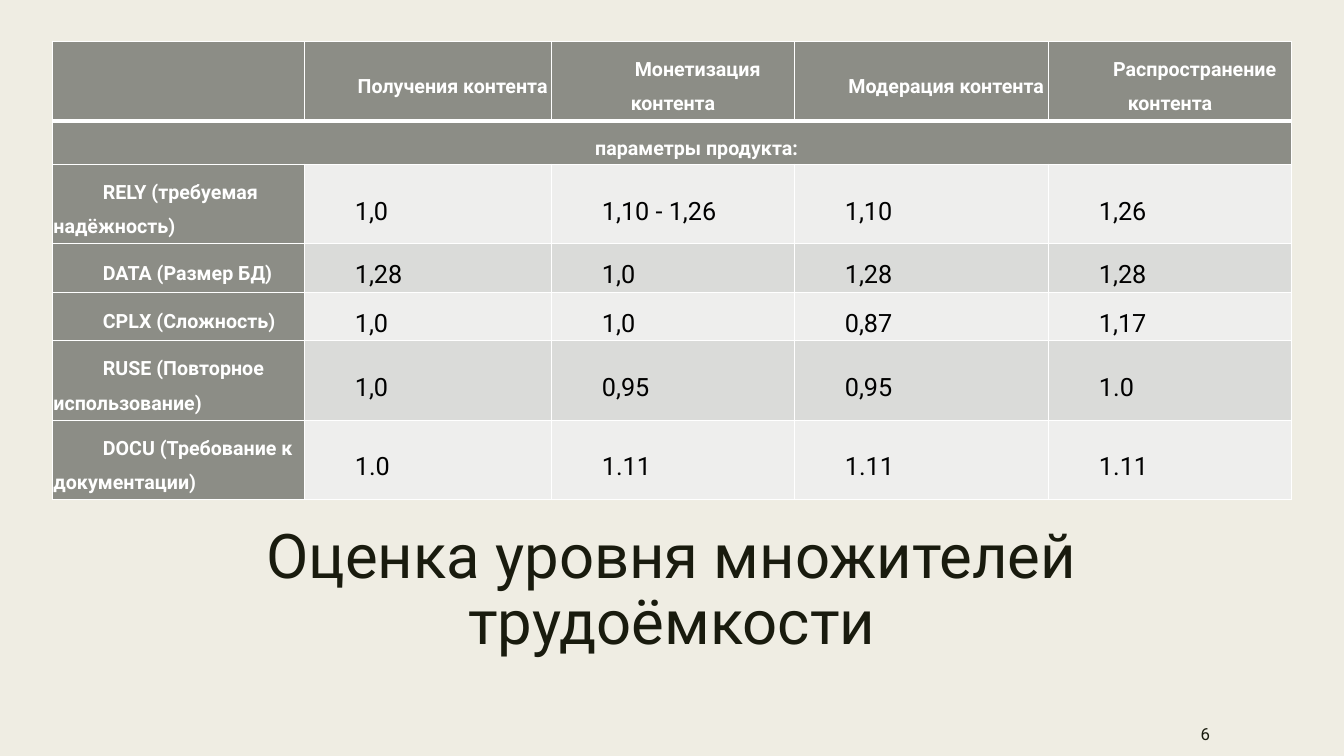
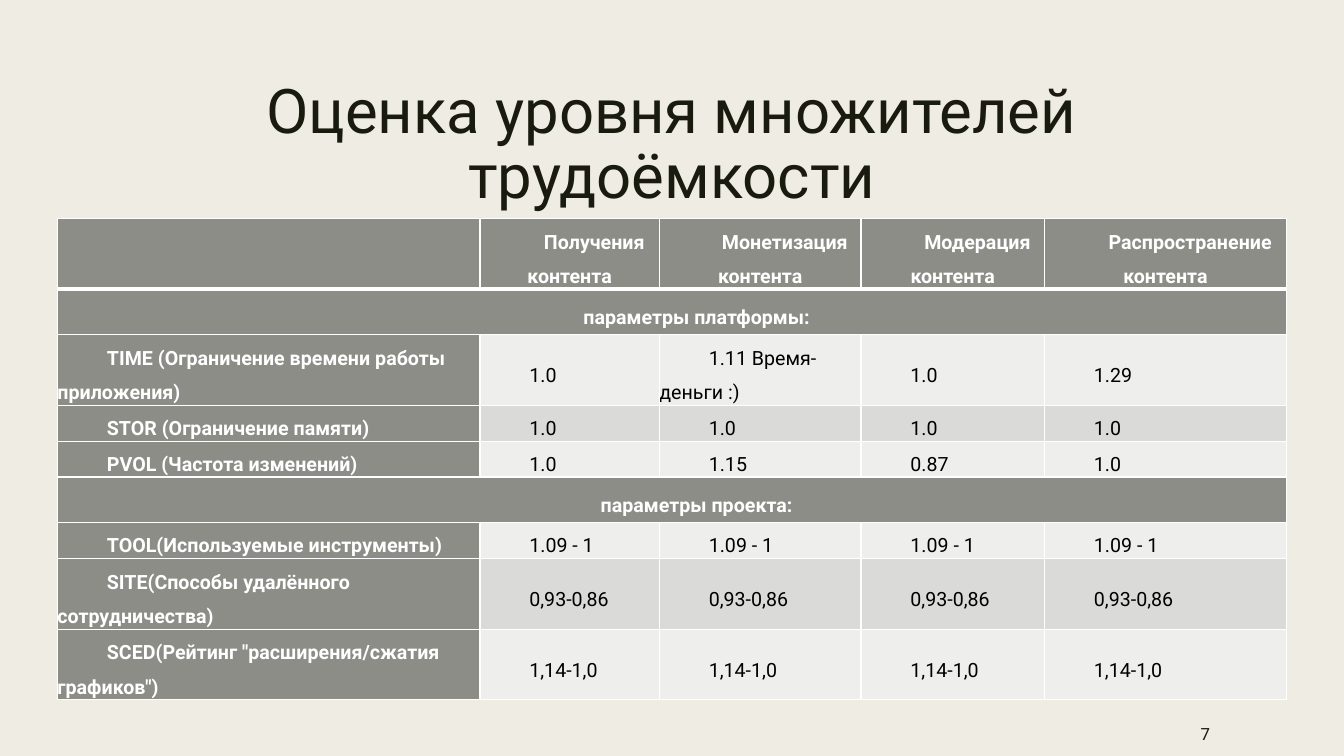
from lxml.etree import SubElement
from pptx import Presentation
from pptx.dml.color import RGBColor
from pptx.enum.shapes import MSO_SHAPE
from pptx.enum.text import MSO_ANCHOR, PP_ALIGN
from pptx.oxml.ns import qn
from pptx.util import Inches, Pt

FONT = "Roboto"
CREAM = RGBColor(0xEF, 0xED, 0xE3)
INK = RGBColor(0x19, 0x1B, 0x0E)
GRAY = RGBColor(0x8C, 0x8D, 0x86)
LIGHT = RGBColor(0xEE, 0xEE, 0xED)
DARK = RGBColor(0xDA, 0xDB, 0xD9)
WHITE = RGBColor(0xFF, 0xFF, 0xFF)
BLACK = RGBColor(0, 0, 0)

TITLE = "Оценка уровня множителей трудоёмкости"
HEAD = ("", "Получения контента", "Монетизация контента",
        "Модерация контента", "Распространение контента")

# A row with a single text is a band across the whole table.
PAGES = [
    dict(
        num="6", title_top=5.17, left=0.52, top=0.41, size=18,
        pad=0.01, band_pad=(0.11, 0.04),
        cols=(2.5, 2.45, 2.41, 2.52, 2.41),
        heights=(0.79, 0.43, 0.79, 0.48, 0.48, 0.79, 0.79),
        rows=(
            HEAD,
            ("параметры продукта:",),
            ("RELY (требуемая надёжность)", "1,0", "1,10 - 1,26", "1,10", "1,26"),
            ("DATA (Размер БД)", "1,28", "1,0", "1,28", "1,28"),
            ("CPLX (Сложность)", "1,0", "1,0", "0,87", "1,17"),
            ("RUSE (Повторное использование)", "1,0", "0,95", "0,95", "1.0"),
            ("DOCU (Требование к документации)", "1.0", "1.11", "1.11", "1.11"),
        ),
    ),
    dict(
        num="7", title_top=0.75, left=0.57, top=2.17, size=14,
        pad=0, band_pad=(0.12, 0.05),
        cols=(4.19, 1.78, 2, 1.82, 2.4),
        heights=(0.7, 0.36, 0.7, 0.36, 0.35, 0.36, 0.36, 0.7, 0.7),
        rows=(
            HEAD,
            ("параметры платформы:",),
            ("TIME (Ограничение времени работы приложения)",
             "1.0", "1.11 Время-деньги :)", "1.0", "1.29"),
            ("STOR (Ограничение памяти)", "1.0", "1.0", "1.0", "1.0"),
            ("PVOL (Частота изменений)", "1.0", "1.15", "0.87", "1.0"),
            ("параметры проекта:",),
            ("TOOL(Используемые инструменты)", *["1.09 - 1"] * 4),
            ("SITE(Способы удалённого сотрудничества)", *["0,93-0,86"] * 4),
            ('SCED(Рейтинг "расширения/сжатия графиков")', *["1,14-1,0"] * 4),
        ),
    ),
]


def put_text(frame, text, size=14, color=INK, bold=False, align=PP_ALIGN.LEFT,
             space=1.0, after=0, indent=0):
    frame.word_wrap = True
    para = frame.paragraphs[0]
    para.alignment = align
    para.line_spacing = space
    para.space_after = Pt(after)
    if indent:
        props = para._p.get_or_add_pPr()
        props.set("marL", "0")
        props.set("indent", str(Inches(indent)))
    run = para.add_run()
    run.text = text
    font = run.font
    font.name, font.size, font.bold = FONT, Pt(size), bold
    font.color.rgb = color


def set_edges(cell, bottom=1):
    """Draw white borders, with widths in points; call before filling the cell."""
    props = cell._tc.get_or_add_tcPr()
    for side, width in (("L", 1), ("R", 1), ("T", 1), ("B", bottom)):
        line = SubElement(props, qn(f"a:ln{side}"), w=str(Pt(width)))
        fill = SubElement(line, qn("a:solidFill"))
        SubElement(fill, qn("a:srgbClr"), val=str(WHITE))


prs = Presentation()
prs.slide_width, prs.slide_height = Inches(13.33), Inches(7.5)

for page in PAGES:
    slide = prs.slides.add_slide(prs.slide_layouts[6])
    panel = slide.shapes.add_shape(
        MSO_SHAPE.RECTANGLE, 0, 0, prs.slide_width, prs.slide_height)
    panel.shadow.inherit = False
    panel.line.fill.background()
    for fill in (slide.background.fill, panel.fill):
        fill.solid()
        fill.fore_color.rgb = CREAM

    title = slide.shapes.add_textbox(
        Inches(0.7), Inches(page["title_top"]), Inches(11.93), Inches(1.62))
    put_text(title.text_frame, TITLE, size=44, align=PP_ALIGN.CENTER, space=0.89)

    foot = slide.shapes.add_textbox(
        Inches(10.35), Inches(7.06), Inches(1.75), Inches(0.44))
    foot.text_frame.vertical_anchor = MSO_ANCHOR.MIDDLE
    put_text(foot.text_frame, page["num"], size=12, align=PP_ALIGN.RIGHT, after=6)

    rows, cols, heights = page["rows"], page["cols"], page["heights"]
    table = slide.shapes.add_table(
        len(rows), len(cols), Inches(page["left"]), Inches(page["top"]),
        Inches(sum(cols)), Inches(sum(heights))).table
    table.horz_banding = False
    for col, width in zip(table.columns, cols):
        col.width = Inches(width)
    for row, height in zip(table.rows, heights):
        row.height = Inches(height)

    for r, texts in enumerate(rows):
        band = len(texts) == 1
        pad_x, pad_y = page["band_pad"] if band else (page["pad"],) * 2
        for c in range(len(cols)):
            cell = table.cell(r, c)
            label = r == 0 or c == 0 or band
            set_edges(cell, bottom=3 if r == 0 else 1)
            cell.fill.solid()
            cell.fill.fore_color.rgb = GRAY if label else (DARK if r % 2 else LIGHT)
            cell.vertical_anchor = MSO_ANCHOR.MIDDLE
            cell.margin_left = cell.margin_right = Inches(pad_x)
            cell.margin_top = cell.margin_bottom = Inches(pad_y)
            if c < len(texts) and texts[c]:
                put_text(cell.text_frame, texts[c],
                         size=14 if label else page["size"],
                         color=WHITE if label else BLACK, bold=label,
                         align=PP_ALIGN.CENTER if r == 0 or band else PP_ALIGN.LEFT,
                         space=1.5, indent=0.49)
        if band:
            table.cell(r, 0).merge(table.cell(r, len(cols) - 1))

prs.save("out.pptx")
